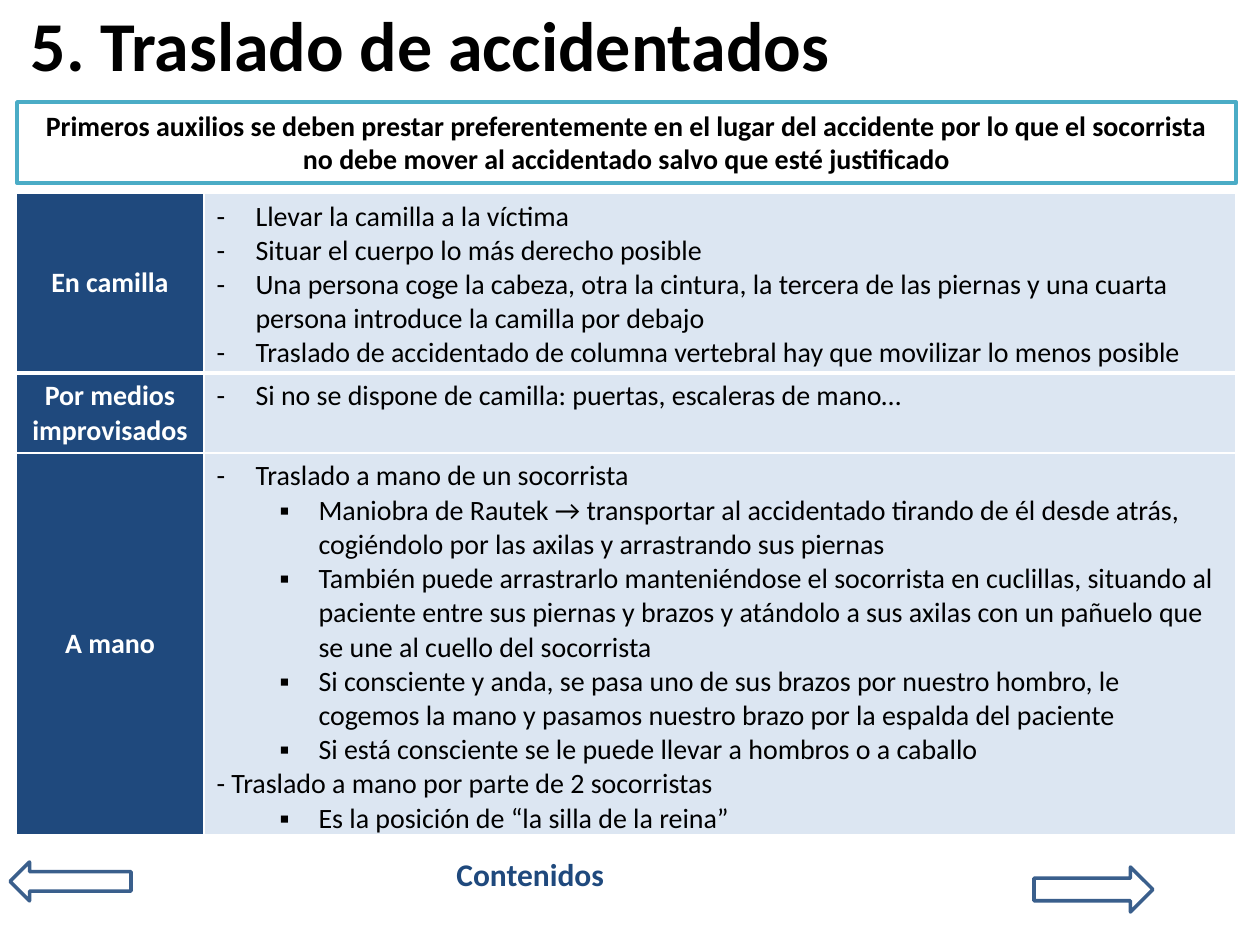
import pptx
import pptx.util
import pptx.dml.color
import pptx.enum.shapes
import pptx.enum.text
import pptx.oxml.ns
import lxml.etree

PX = 914400 / 126
BLACK = pptx.dml.color.RGBColor(0x00, 0x00, 0x00)
WHITE = pptx.dml.color.RGBColor(0xFF, 0xFF, 0xFF)
NAVY = pptx.dml.color.RGBColor(0x1F, 0x49, 0x7D)
PALE_BLUE = pptx.dml.color.RGBColor(0xDC, 0xE6, 0xF2)
TEAL = pptx.dml.color.RGBColor(0x4B, 0xAC, 0xC6)
ARROW_BLUE = pptx.dml.color.RGBColor(0x3A, 0x5F, 0x8C)
LEFT = pptx.enum.text.PP_ALIGN.LEFT
CENTER = pptx.enum.text.PP_ALIGN.CENTER
TOP = pptx.enum.text.MSO_ANCHOR.TOP
MIDDLE = pptx.enum.text.MSO_ANCHOR.MIDDLE
SHAPES = pptx.enum.shapes.MSO_SHAPE
INDENTS = {"-": 39, "▪": 102}
HANGING = 39


def px(*lengths):
    return [pptx.util.Emu(round(length * PX)) for length in lengths]


def write(frame, text, size=16, color=BLACK, bold=True, align=LEFT, bullet=None, first=True):
    paragraph = frame.paragraphs[0] if first else frame.add_paragraph()
    paragraph.text = text
    paragraph.alignment = align
    if bullet:
        paragraph.level = 1 if bullet == "▪" else 0
        properties = paragraph._p.get_or_add_pPr()
        margin, hanging = px(INDENTS[bullet], HANGING)
        properties.set("marL", str(margin))
        properties.set("indent", str(-hanging))
        typeface = lxml.etree.SubElement(properties, pptx.oxml.ns.qn("a:buFont"))
        typeface.set("typeface", "Calibri")
        mark = lxml.etree.SubElement(properties, pptx.oxml.ns.qn("a:buChar"))
        mark.set("char", bullet)
    font = paragraph.runs[0].font
    font.name = "Calibri"
    font.size = pptx.util.Pt(size)
    font.bold = bold
    font.color.rgb = color


presentation = pptx.Presentation()
presentation.slide_width, presentation.slide_height = px(1260, 945)
slide = presentation.slides.add_slide(presentation.slide_layouts[5])

title = slide.shapes.title
title.left, title.top, title.width, title.height = px(18, 4, 1187, 79)
title.text_frame.vertical_anchor = MIDDLE
write(title.text_frame, "5. Traslado de accidentados", size=40)

contents = slide.shapes.add_textbox(*px(444, 849, 181, 50))
contents.text_frame.word_wrap = True
write(contents.text_frame, "Contenidos", size=18, color=NAVY)

arrows = [
    (SHAPES.LEFT_ARROW, (10, 862, 121, 39)),
    (SHAPES.RIGHT_ARROW, (1034, 867, 119, 45)),
]
for kind, box in arrows:
    arrow = slide.shapes.add_shape(kind, *px(*box))
    arrow.shadow.inherit = False
    arrow.fill.background()
    arrow.line.color.rgb = ARROW_BLUE
    arrow.line.width = pptx.util.Pt(2)

notice = slide.shapes.add_shape(SHAPES.RECTANGLE, *px(17, 102, 1219, 81))
notice.shadow.inherit = False
notice.fill.solid()
notice.fill.fore_color.rgb = WHITE
notice.line.color.rgb = TEAL
notice.line.width = pptx.util.Pt(2)
notice.text_frame.word_wrap = True
notice.text_frame.vertical_anchor = TOP
write(
    notice.text_frame,
    "Primeros auxilios se deben prestar preferentemente en el lugar del accidente por lo que "
    "el socorrista no debe mover al accidentado salvo que esté justificado",
    align=CENTER,
)

methods = [
    ("En camilla", 180, [
        ("-", "Llevar la camilla a la víctima"),
        ("-", "Situar el cuerpo lo más derecho posible"),
        ("-", "Una persona coge la cabeza, otra la cintura, la tercera de las piernas y una "
              "cuarta persona introduce la camilla por debajo"),
        ("-", "Traslado de accidentado de columna vertebral hay que movilizar lo menos posible"),
    ]),
    ("Por medios improvisados", 80, [
        ("-", "Si no se dispone de camilla: puertas, escaleras de mano…"),
    ]),
    ("A mano", 382, [
        ("-", "Traslado a mano de un socorrista"),
        ("▪", "Maniobra de Rautek → transportar al accidentado tirando de él desde atrás, "
              "cogiéndolo por las axilas y arrastrando sus piernas"),
        ("▪", "También puede arrastrarlo manteniéndose el socorrista en cuclillas, situando al "
              "paciente entre sus piernas y brazos y atándolo a sus axilas con un pañuelo que "
              "se une al cuello del socorrista"),
        ("▪", "Si consciente y anda, se pasa uno de sus brazos por nuestro hombro, le cogemos "
              "la mano y pasamos nuestro brazo por la espalda del paciente"),
        ("▪", "Si está consciente se le puede llevar a hombros o a caballo"),
        (None, "- Traslado a mano por parte de 2 socorristas"),
        ("▪", "Es la posición de “la silla de la reina”"),
    ]),
]
table_height = sum(height for _, height, _ in methods)
table = slide.shapes.add_table(len(methods), 2, *px(16, 193, 1220, table_height)).table
table.columns[0].width, table.columns[1].width = px(188, 1032)
for row, (method, height, steps) in enumerate(methods):
    table.rows[row].height = px(height)[0]
    heading, details = table.cell(row, 0), table.cell(row, 1)
    for cell, color, anchor in ((heading, NAVY, MIDDLE), (details, PALE_BLUE, TOP)):
        cell.fill.solid()
        cell.fill.fore_color.rgb = color
        cell.vertical_anchor = anchor
        if row == 0:
            border = lxml.etree.Element(pptx.oxml.ns.qn("a:lnB"), w=str(pptx.util.Pt(3)))
            border_fill = lxml.etree.SubElement(border, pptx.oxml.ns.qn("a:solidFill"))
            lxml.etree.SubElement(border_fill, pptx.oxml.ns.qn("a:srgbClr"), val=str(WHITE))
            cell._tc.get_or_add_tcPr().insert(0, border)
    details.margin_bottom = 0
    write(heading.text_frame, method, color=WHITE, align=CENTER)
    for number, (bullet, step) in enumerate(steps):
        write(details.text_frame, step, bold=False, bullet=bullet, first=number == 0)

presentation.save("out.pptx")
